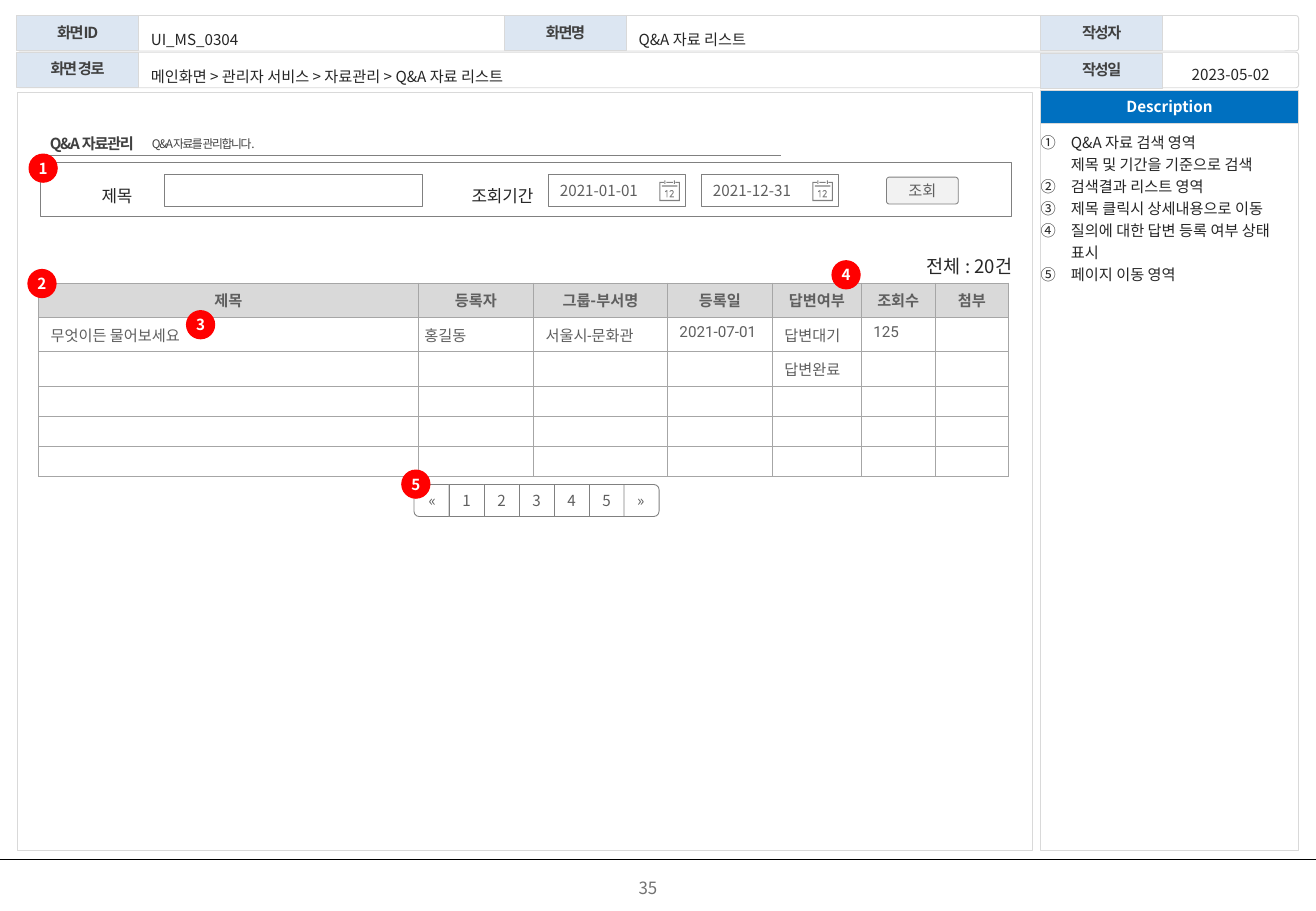
"""Build the Q&A list screen specification slide."""
import pptx
import pptx.util
import pptx.dml.color
import pptx.enum.shapes
import pptx.enum.text
import pptx.oxml
import pptx.oxml.ns
import lxml.etree

Pt = pptx.util.Pt
qn = pptx.oxml.ns.qn
RGB = pptx.dml.color.RGBColor.from_string
SHAPE = pptx.enum.shapes.MSO_SHAPE
ALIGN = pptx.enum.text.PP_ALIGN
LEFT, CENTER, RIGHT, JUSTIFY = ALIGN.LEFT, ALIGN.CENTER, ALIGN.RIGHT, ALIGN.JUSTIFY
MIDDLE, TOP = pptx.enum.text.MSO_ANCHOR.MIDDLE, pptx.enum.text.MSO_ANCHOR.TOP
FONT = "Noto Sans CJK KR"
C = {"white": "FFFFFF", "black": "000000", "ink": "262626", "heading": "404040",
     "gray": "5F5F5F", "page": "717171", "line": "808080", "frame": "D9D9D9",
     "label": "DCE6F2", "blue": "0070C0", "red": "FF0000", "button": "F2F2F2",
     "cell": "A6A6A6"}

prs = pptx.Presentation()
prs.slide_width, prs.slide_height = Pt(780), Pt(540)
s = prs.slides.add_slide(prs.slide_layouts[5])


def box(kind, x, y, w, h, fill=None, line=None, weight=0.5, inset=(0, 0, 0, 0),
        anchor=MIDDLE, wrap=True):
    dims = Pt(x), Pt(y), Pt(w), Pt(h)
    if kind is None:
        sp = s.shapes.add_textbox(*dims)
    else:
        sp = s.shapes.add_shape(kind, *dims)
        sp.shadow.inherit = False
        sp.line.color.rgb = RGB(C[line])
        sp.line.width = Pt(weight)
        if fill:
            sp.fill.solid()
            sp.fill.fore_color.rgb = RGB(C[fill])
        else:
            sp.fill.background()
    tf = sp.text_frame
    tf.margin_left, tf.margin_top, tf.margin_right, tf.margin_bottom = map(Pt, inset)
    tf.vertical_anchor, tf.word_wrap = anchor, wrap
    return sp


def write(p, text, color, size=9, bold=False, align=LEFT, spacing=None, track=None, font=FONT):
    p.alignment = align
    if spacing:
        p.line_spacing = spacing
    r = p.add_run()
    r.text = text
    r.font.name, r.font.size, r.font.bold = font, Pt(size), bold
    r.font.color.rgb = RGB(C[color])
    rPr = r.font._element
    rPr.find(qn("a:latin")).addnext(rPr.makeelement(qn("a:ea"), {"typeface": FONT}))
    if track:
        rPr.set("spc", str(round(track * 100)))


sp = s.shapes.title
sp.left, sp.top, sp.width, sp.height = Pt(29.5), Pt(77), Pt(60), Pt(14.4)
tf = sp.text_frame
tf.margin_left = tf.margin_top = tf.margin_right = tf.margin_bottom = 0
tf.auto_size = pptx.enum.text.MSO_AUTO_SIZE.NONE
tf.vertical_anchor, tf.word_wrap = MIDDLE, True
write(tf.paragraphs[0], "Q&A 자료관리", "heading", bold=True, spacing=1.2, track=-0.8)

for y in (9.2, 31):
    sp = box(SHAPE.ROUNDED_RECTANGLE, 10, y, 759.7, 21, line="frame")
    sp.adjustments[0] = 0.08
for text, x, y in (("화면ID", 10, 9.2), ("작성자", 617, 9.2), ("작성일", 617, 31.4),
                   ("화면명", 299.2, 9.2), ("화면 경로", 10, 31)):
    p = box(SHAPE.RECTANGLE, x, y, 72, 21, "label", "frame").text_frame.paragraphs[0]
    p.space_before = Pt(9.2)
    write(p, text, "heading", bold=True, align=CENTER, spacing=0.9, track=-0.8)

box(SHAPE.RECTANGLE, 10.2, 54.8, 602, 449.4, line="frame")
box(SHAPE.RECTANGLE, 616.8, 73.2, 152.8, 431, line="frame")
sp = box(SHAPE.RECTANGLE, 616.8, 53.6, 152.8, 19.4, "blue", "frame", wrap=False)
write(sp.text_frame.paragraphs[0], "Description", "white", bold=True, align=CENTER)

sp = box(SHAPE.RECTANGLE, 23.8, 96.4, 575.6, 32, "white", "line")
box(SHAPE.RECTANGLE, 97.3, 103.6, 153.2, 18.8, "white", "line")

for text, x, y, w, h, size, color, align, spacing, inset in (
        ("UI_MS_0304", 83.6, 9.2, 215, 22.4, 9, "ink", JUSTIFY, 1.5, 5.8),
        ("Q&A 자료 리스트", 372.7, 9.2, 244, 22.4, 9, "ink", JUSTIFY, 1.5, 5.8),
        ("메인화면 > 관리자 서비스 > 자료관리 > Q&A 자료 리스트",
         83.6, 31.6, 533, 22.4, 9, "ink", JUSTIFY, 1.5, 5.8),
        ("2023-05-02", 690.5, 31.6, 77.8, 19.4, 9, "ink", CENTER, 1.5, 0),
        (" Q&A자료를 관리합니다.", 89.3, 77, 193.7, 15.1, 7, "heading", LEFT, 1.2, 0),
        ("제목", 18.7, 105.8, 59.8, 14.4, 10, "ink", RIGHT, 1.5, 0),
        ("조회기간", 256.3, 105.8, 59.8, 14.4, 10, "ink", RIGHT, 1.5, 0),
        ("전체 : 20건", 538.6, 146.2, 72, 16.6, 11, "ink", CENTER, 1.5, 0),
        ("35", 293, 514.8, 182.2, 22.3, 10, "page", CENTER, None, 0)):
    sp = box(None, x, y, w, h, inset=(inset, 0, 0, 0))
    write(sp.text_frame.paragraphs[0], text, color, size, align=align, spacing=spacing,
          track=-0.8 if size == 7 else None)

for x1, x2, y, color in ((0, 780, 509.6, "black"), (21.6, 463, 92.2, "line")):
    cn = s.shapes.add_connector(pptx.enum.shapes.MSO_CONNECTOR.STRAIGHT,
                                Pt(x1), Pt(y), Pt(x2), Pt(y))
    cn.line.color.rgb, cn.line.width = RGB(C[color]), Pt(0.5)
    lxml.etree.SubElement(cn._element.spPr, qn("a:effectLst"))

calendar = (
    ((0, 9), (0, 122), (122, 122), (122, 9), (95, 9), (95, 15), (116, 15), (116, 116),
     (6, 116), (6, 15), (27, 15), (27, 9)),
    ((30, 0), (36, 0), (36, 20), (30, 20)),
    ((86, 0), (92, 0), (92, 20), (86, 20)),
    ((42, 9), (80, 9), (80, 15), (42, 15)),
    ((15, 30), (107, 30), (107, 36), (15, 36)),
    ((43, 58), (48, 58), (48, 101), (43, 101), (43, 65), (35, 69), (35, 63)),
    ((62, 63), (68, 58), (79, 58), (85, 64), (85, 74), (69, 95), (86, 95), (86, 101),
     (62, 101), (62, 95), (79, 74), (79, 66), (76, 63), (70, 63), (62, 68)))
for date, x in (("2021-01-01", 324.8), ("2021-12-31", 415.5)):
    sp = box(SHAPE.RECTANGLE, x, 103.6, 81.5, 18.8, "white", "line", inset=(7.2, 0, 18, 0))
    write(sp.text_frame.paragraphs[0], date, "gray")
    fb = s.shapes.build_freeform(*calendar[0][0], scale=Pt(1) / 10)
    fb.add_line_segments(calendar[0][1:])
    for outline in calendar[1:]:
        fb.move_to(*outline[0])
        fb.add_line_segments(outline[1:])
    icon = fb.convert_to_shape(Pt(x + 66), Pt(107))
    icon.shadow.inherit = False
    icon.fill.solid()
    icon.fill.fore_color.rgb = RGB(C["line"])
    icon.line.fill.background()

sp = box(SHAPE.ROUNDED_RECTANGLE, 525.4, 105, 42.6, 16, "button", "line")
sp.adjustments[0] = 0.11
write(sp.text_frame.paragraphs[0], "조회", "gray", align=CENTER)

rows = [["제목", "등록자", "그룹-부서명", "등록일", "답변여부", "조회수", "첨부"],
        ["무엇이든 물어보세요", "홍길동", "서울시-문화관", "2021-07-01", "답변대기", "125", ""],
        ["", "", "", "", "답변완료", "", ""]] + [[""] * 7] * 3
widths = (225.2, 68.2, 79.4, 62.2, 52.7, 43.9, 43.4)
heights = (20.4, 20.2, 20.6, 17.8, 17.8, 17.8)
table = s.shapes.add_table(6, 7, Pt(22.8), Pt(167.8), Pt(sum(widths)), Pt(sum(heights))).table
for col, w in zip(table.columns, widths):
    col.width = Pt(w)
for i, row in enumerate(rows):
    table.rows[i].height = Pt(heights[i])
    for j, text in enumerate(row):
        cell = table.cell(i, j)
        if (i, j) == (1, 1):
            cell.margin_left = cell.margin_right = Pt(3.6)
        p = cell.text_frame.paragraphs[0]
        if text:
            write(p, text, "gray", bold=i == 0, align=LEFT if i else CENTER, font="Roboto")
        else:
            lxml.etree.SubElement(p._p, qn("a:endParaRPr"), sz="800")
        tcPr = cell._tc.get_or_add_tcPr()
        for side in ("lnL", "lnR", "lnT", "lnB"):
            ln = lxml.etree.SubElement(tcPr, qn("a:" + side), w=str(Pt(0.5)))
            paint = lxml.etree.SubElement(ln, qn("a:solidFill"))
            lxml.etree.SubElement(paint, qn("a:srgbClr"), val=C["cell"])
        cell.fill.solid()
        cell.fill.fore_color.rgb = RGB(C["white" if i else "frame"])

step, tall = 20.75, 19
for i, text in enumerate("«12345»"):
    x = 245.4 + i * step
    if text.isdigit():
        sp = box(SHAPE.RECTANGLE, x, 287.2, step, tall, "white", "line")
    else:
        shift = (step - tall) / 2
        sp = box(SHAPE.ROUND_2_SAME_RECTANGLE, x + shift, 287.2 - shift, tall, step,
                 "white", "line")
        sp.rotation = 90 if i else 270
        sp.text_frame._txBody.bodyPr.set("vert", "vert270" if i else "vert")
    write(sp.text_frame.paragraphs[0], text, "gray", align=CENTER)

for text, x, y in (("1", 17.3, 91.4), ("2", 16.6, 159.8), ("3", 110.6, 184.2),
                   ("4", 493.2, 154.6), ("5", 238.2, 278.7)):
    sp = box(SHAPE.OVAL, x, y, 16.6, 16.6, "red", "red", 0.75, wrap=False)
    write(sp.text_frame.paragraphs[0], text, "white", bold=True, align=CENTER)

tf = box(None, 616.8, 77, 153.4, 350, anchor=TOP).text_frame
for i, item in enumerate((("Q&A 자료 검색 영역 ", "제목 및 기간을 기준으로 검색"),
                          ("검색결과 리스트 영역 ",), ("제목 클릭시 상세내용으로 이동",),
                          ("질의에 대한 답변 등록 여부 상태 표시 ",), ("페이지 이동 영역 ",))):
    p = tf.add_paragraph() if i else tf.paragraphs[0]
    for n, text in enumerate(item):
        if n:
            p.add_line_break()
        write(p, text, "ink", spacing=1.2)
    pPr = p._p.get_or_add_pPr()
    pPr.set("marL", str(Pt(18)))
    pPr.set("indent", str(-Pt(18)))
    lxml.etree.SubElement(pPr, qn("a:buAutoNum"), type="circleNumDbPlain")

prs.save("out.pptx")
